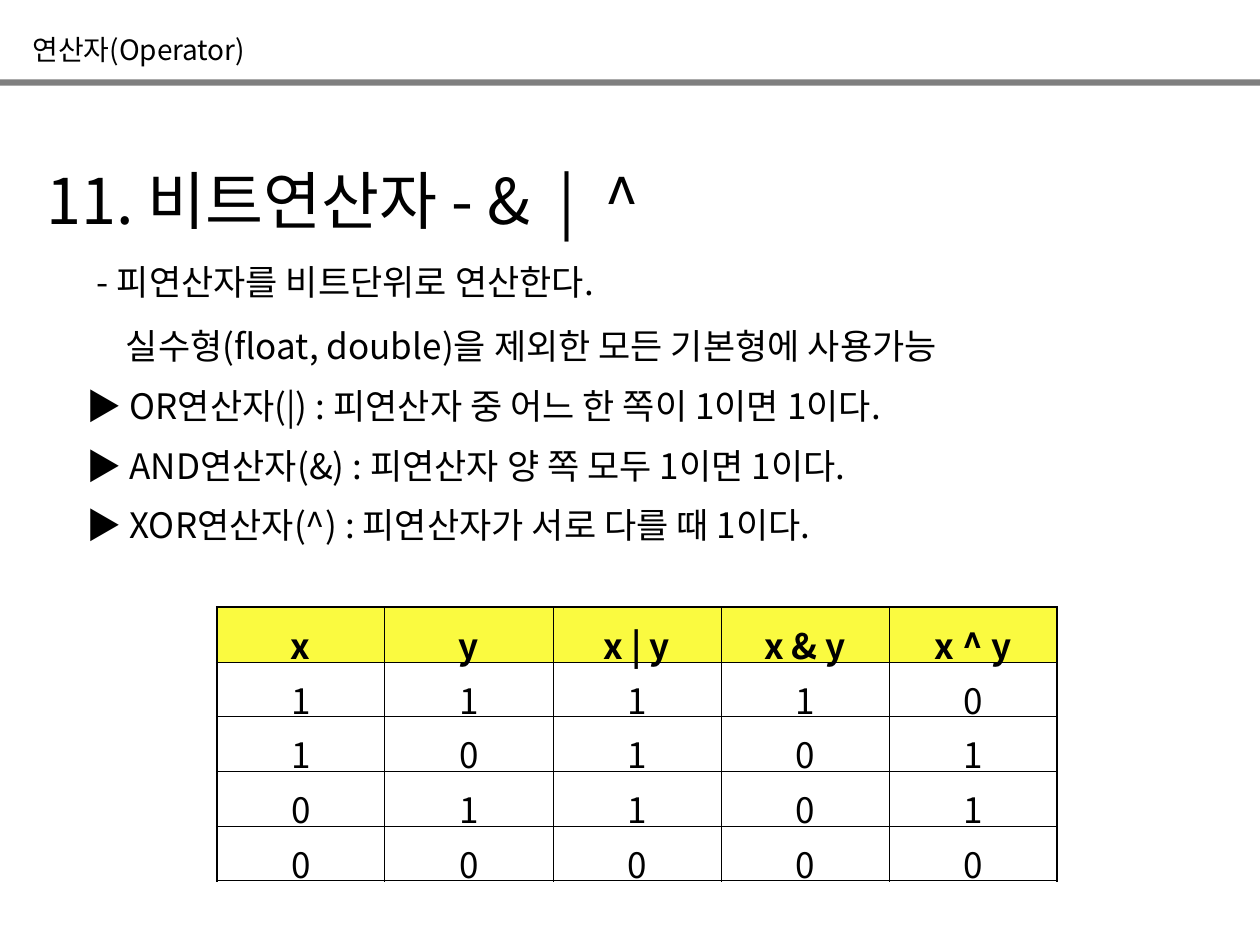
from lxml import etree
from pptx import Presentation
from pptx.dml.color import RGBColor
from pptx.enum.shapes import MSO_SHAPE
from pptx.enum.text import MSO_AUTO_SIZE, PP_ALIGN
from pptx.oxml.ns import qn
from pptx.util import Inches, Pt

RECT = MSO_SHAPE.RECTANGLE
GROW = MSO_AUTO_SIZE.SHAPE_TO_FIT_TEXT
MID = PP_ALIGN.CENTER

HUES = {"ink": "000000", "bar": "7F7F7F", "head": "FAFA40"}
FACE = "Noto Sans CJK KR"
WIDE, HIGH = 10, 7.5

TOPIC = "연산자(Operator)"
TITLE = "11. 비트연산자 - &  |  ^"
INTRO = [
    "- 피연산자를 비트단위로 연산한다.",
    "실수형(float, double)을 제외한 모든 기본형에 사용가능",
]
RULES = [
    "▶ OR연산자(|) : 피연산자 중 어느 한 쪽이 1이면 1이다.",
    "▶ AND연산자(&) : 피연산자 양 쪽 모두 1이면 1이다.",
    "▶ XOR연산자(^) : 피연산자가 서로 다를 때 1이다.",
]
HEAD = ["x", "y", "x | y", "x & y", "x ^ y"]
PAIRS = [(1, 1), (1, 0), (0, 1), (0, 0)]
TRUTH = [HEAD] + [[x, y, x | y, x & y, x ^ y] for x, y in PAIRS]

THIN, THICK = 0.45, 1.08
RULE_TOP, RULE_STEP = 3, 0.475
GRID = {"left": 1.72, "top": 4.82, "width": 6.67, "height": 2.17}
PAD = {
    "margin_left": Inches(0.1),
    "margin_right": Inches(0.1),
    "margin_top": Inches(0.09),
    "margin_bottom": 0,
}


def hue(name):
    return RGBColor.from_string(HUES[name])


def write(para, text, size, bold=False):
    run = para.add_run()
    run.text = str(text)
    look = {"name": FACE, "size": Pt(size), "bold": bold}
    for key, val in look.items():
        setattr(run.font, key, val)
    run.font.color.rgb = hue("ink")
    east = etree.SubElement(run.font._element, qn("a:ea"))
    east.set("typeface", FACE)


def label(slide, box, lines, size, inset=0):
    frame = slide.shapes.add_textbox(*map(Inches, box)).text_frame
    for key, val in {"word_wrap": True, "auto_size": GROW}.items():
        setattr(frame, key, val)
    for num, line in enumerate(lines):
        para = frame.add_paragraph() if num else frame.paragraphs[0]
        if num:
            para.space_before = Pt(12.5)
            para._p.get_or_add_pPr().set("marL", str(Inches(inset)))
        write(para, line, size)


def edge(props, side, width):
    line = etree.Element(qn(f"a:ln{side}"), w=str(Pt(width)))
    fill = etree.SubElement(line, qn("a:solidFill"))
    etree.SubElement(fill, qn("a:srgbClr"), val=HUES["ink"])
    return line


def table(slide, data):
    rows, cols = len(data), len(data[0])
    spot = [Inches(val) for val in GRID.values()]
    grid = slide.shapes.add_table(rows, cols, *spot).table
    for key in ("first_row", "horz_banding"):
        setattr(grid, key, False)
    for r, row in enumerate(data):
        for c, text in enumerate(row):
            cell = grid.cell(r, c)
            for key, val in PAD.items():
                setattr(cell, key, val)
            if r == 0:
                cell.fill.solid()
                cell.fill.fore_color.rgb = hue("head")
            else:
                cell.fill.background()
            para = cell.text_frame.paragraphs[0]
            para.alignment = MID
            write(para, text, 20, r == 0)
            outer = {
                "L": c == 0,
                "R": c == cols - 1,
                "T": r == 0,
                "B": r == rows - 1,
            }
            props = cell._tc.get_or_add_tcPr()
            for num, (side, rim) in enumerate(outer.items()):
                props.insert(num, edge(props, side, THICK if rim else THIN))


def main():
    deck = Presentation()
    deck.slide_width, deck.slide_height = Inches(WIDE), Inches(HIGH)
    slide = deck.slides.add_slide(deck.slide_layouts[6])

    bar = slide.shapes.add_shape(RECT, 0, Inches(0.63), Inches(WIDE), Inches(0.05))
    bar.shadow.inherit = False
    bar.fill.solid()
    bar.fill.fore_color.rgb = hue("bar")
    bar.line.fill.background()

    label(slide, (0.16, 0.21, 4.33, 0.37), [TOPIC], 16)
    label(slide, (0.27, 1.23, 9.45, 0.7), [TITLE], 36)
    for num, rule in enumerate(RULES):
        top = RULE_TOP + num * RULE_STEP
        label(slide, (0.59, top, 9.33, 0.44), [rule], 20)
    label(slide, (0.67, 2.02, 8.35, 0.94), INTRO, 20, inset=0.23)
    table(slide, TRUTH)
    deck.save("out.pptx")


if __name__ == "__main__":
    main()
